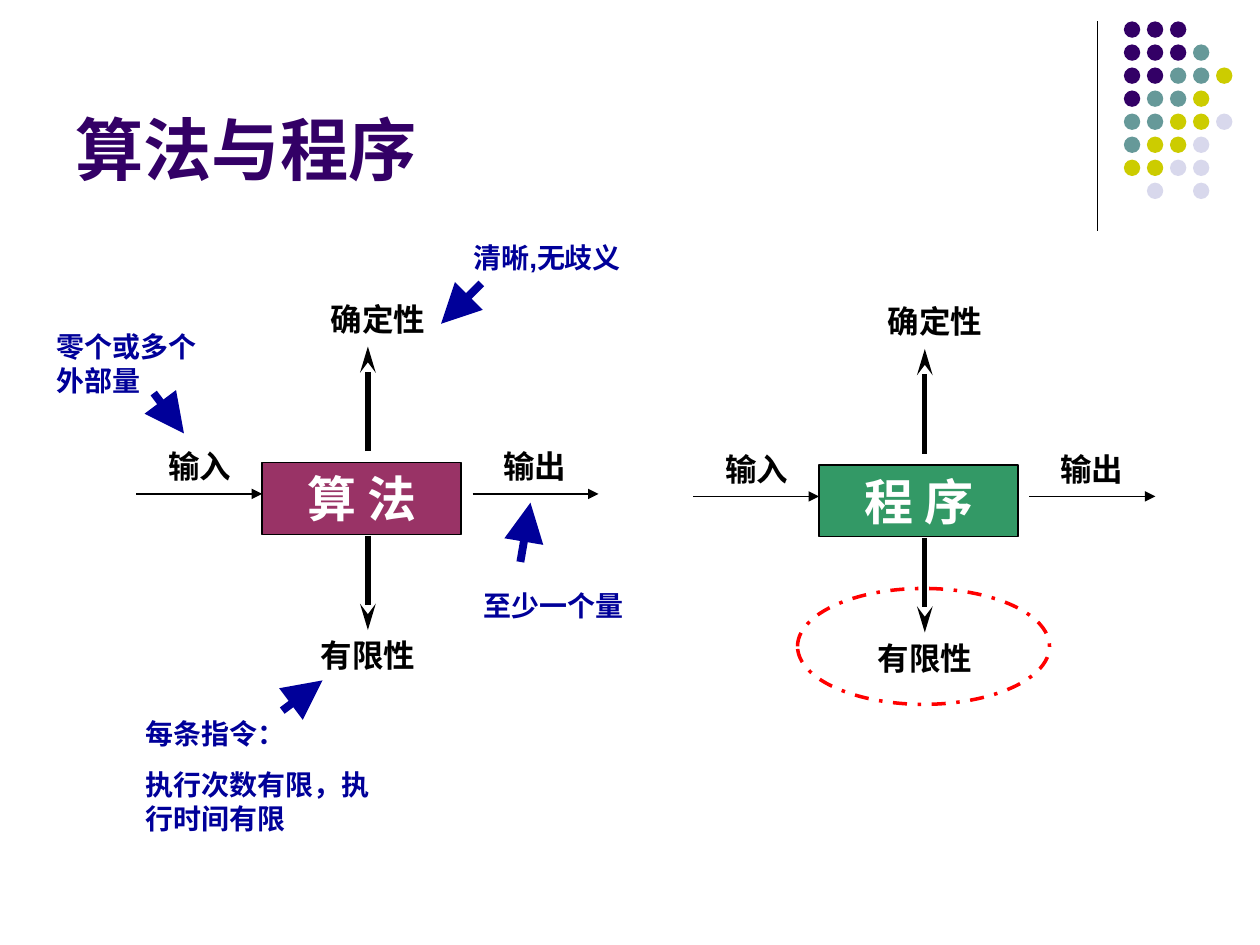
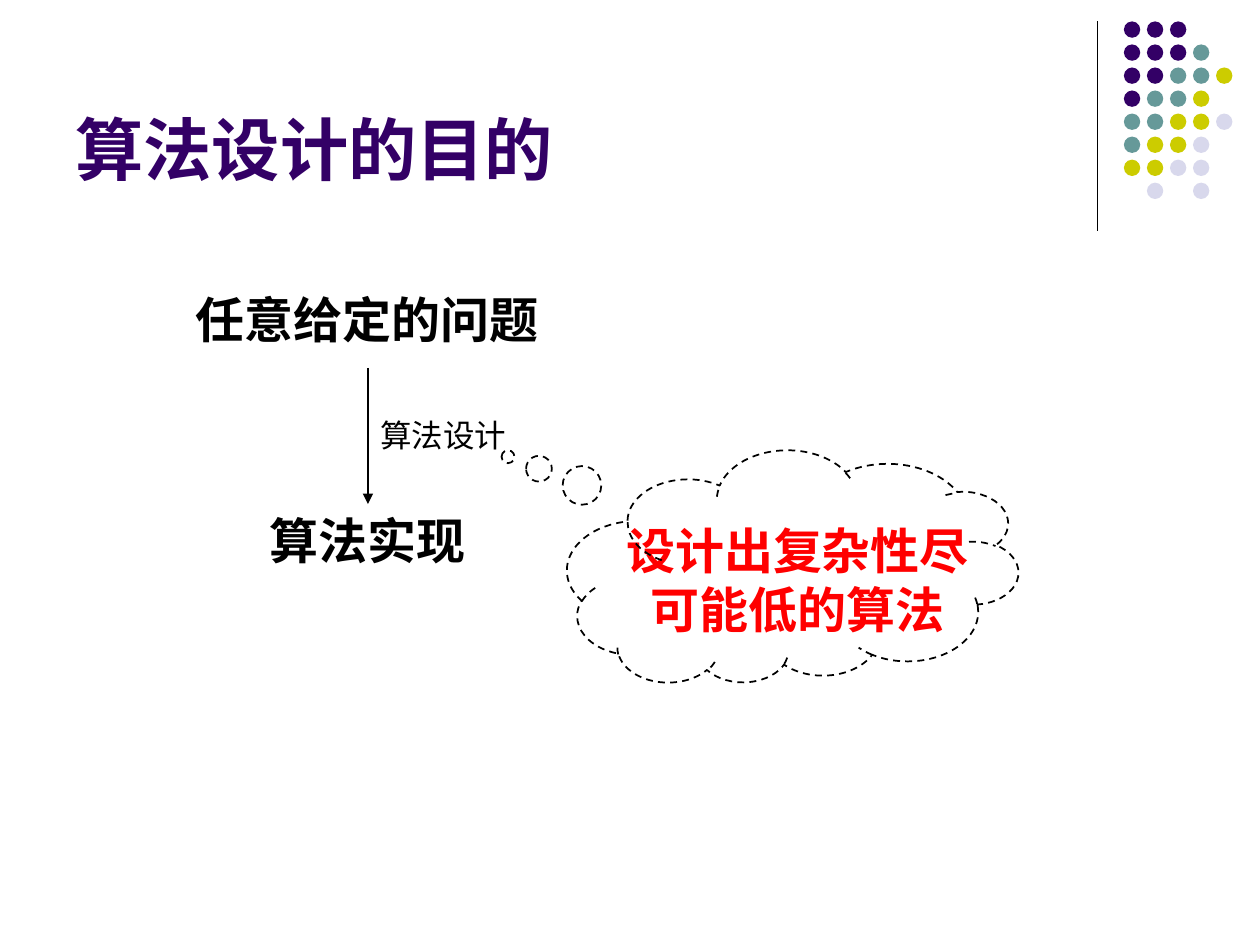
"""Builds two slides on algorithms, programs and the aim of algorithm design."""
from lxml import etree
from pptx import Presentation
from pptx import util as u
from pptx.dml.color import RGBColor
from pptx.enum import dml, lang, shapes, text
from pptx.oxml.ns import qn

FONT = "Arial"
BLACK, WHITE, RED, NAVY, PURPLE = "000000", "FFFFFF", "FF0000", "000099", "330066"
DOT_COLOURS = {"P": PURPLE, "T": "669999", "Y": "CCCC00", "L": "D8D8EC"}
DOT_ROWS = ["PPP", "PPPT", "PPTTY", "PTTY", "TTYYL", "TYYL", "YYLL", " L L"]
DOT_LEFT, DOT_TOP, DOT_SIZE, DOT_PITCH = 8.92, 0.17, 0.13, 1.28 / 7

TITLES = ["算法与程序", "算法设计的目的"]

DIAGRAMS = [("算 法", "993366", 0, 0), ("程 序", "339966", 4.42, 0.02)]
DIAGRAM_BOX = (2.08, 3.67, 1.58, 0.57)
DIAGRAM_ARMS = [
    ("输入", (1.17, 3.5, 0.83, 0.4), (1.08, 3.92), (2.08, 3.92), 0.75, "triangle"),
    ("输出", (3.83, 3.5, 0.83, 0.4), (3.75, 3.92), (4.75, 3.92), 0.75, "triangle"),
    ("确定性", (2.25, 2.33, 1.5, 0.4), (2.92, 3.58), (2.92, 2.75), 3, "stealth"),
    ("有限性", (2.17, 5, 1.5, 0.4), (2.92, 4.25), (2.92, 5), 3, "stealth"),
]
FINITE_RING = (6.33, 4.67, 2, 0.92)
NOTES = [
    (["零个或多个外部量"], (0.35, 2.57, 1.5, 0.64), (1.22, 3.12), (1.46, 3.44)),
    (["清晰,无歧义"], (3.66, 1.86, 1.5, 0.37), (3.82, 2.25), (3.5, 2.57)),
    (["每条指令：", "执行次数有限，执行时间有限"], (1.06, 5.64, 2.05, 1.04), (2.24, 5.64), (2.56, 5.4)),
    (["至少一个量"], (3.74, 4.62, 1.5, 0.37), (4.13, 4.46), (4.21, 3.99)),
]

STEPS = [("任意给定的问题", (1.33, 2.25, 3.17, 0.57)), ("算法实现", (1.33, 4, 3.17, 0.57))]
STEP_ARROW = ((2.92, 2.92), (2.92, 4))
STEP_LABEL = ("算法设计", (2.92, 3.25, 1.42, 0.4))
GOAL = ("设计出复杂性尽可能低的算法", (4.83, 4.08, 3, 1.04))
GOAL_CLOUD = (4.5, 3.58, 3.58, 1.84)


def rgb(colour):
    return RGBColor.from_string(colour)


def inches(values):
    return [u.Inches(v) for v in values]


def moved(place, dx, dy):
    return (place[0] + dx, place[1] + dy, *place[2:])


def write(sp, lines, size, colour, bold=True, centred=True, anchor="TOP"):
    tf = sp.text_frame
    tf.word_wrap = True
    tf.vertical_anchor = text.MSO_ANCHOR[anchor]
    for i, line in enumerate(lines):
        p = tf.paragraphs[0] if i == 0 else tf.add_paragraph()
        p.alignment = text.PP_ALIGN.CENTER if centred else text.PP_ALIGN.LEFT
        if i:
            p.space_before = u.Pt(10)
        r = p.add_run()
        r.text = line
        r.font.name, r.font.size, r.font.bold = FONT, u.Pt(size), bold
        r.font.color.rgb = rgb(colour)
        r.font.language_id = lang.MSO_LANGUAGE_ID.SIMPLIFIED_CHINESE


def add_text(s, place, lines, size, colour, **style):
    write(s.shapes.add_textbox(*inches(place)), lines, size, colour, **style)


def add_shape(s, kind, place, fill=None, line=None, width=0.75, dash=None):
    sp = s.shapes.add_shape(shapes.MSO_SHAPE[kind], *inches(place))
    sp.shadow.inherit = False
    if fill:
        sp.fill.solid()
        sp.fill.fore_color.rgb = rgb(fill)
    else:
        sp.fill.background()
    if line:
        sp.line.color.rgb = rgb(line)
        sp.line.width = u.Pt(width)
        if dash:
            sp.line.dash_style = dml.MSO_LINE[dash]
    else:
        sp.line.fill.background()
    return sp


def add_line(s, start, end, colour=BLACK, width=0.75, head=None, head_size=("med", "med")):
    cx = s.shapes.add_connector(shapes.MSO_CONNECTOR.STRAIGHT, *inches(start + end))
    cx.line.color.rgb = rgb(colour)
    cx.line.width = u.Pt(width)
    pr = cx.element.spPr
    if head:
        tail = etree.SubElement(pr.find(qn("a:ln")), qn("a:tailEnd"))
        for key, value in zip(("type", "w", "len"), (head, *head_size)):
            tail.set(key, value)
    etree.SubElement(pr, qn("a:effectLst"))


def add_slide(prs, title):
    s = prs.slides.add_slide(prs.slide_layouts[6])
    add_line(s, (8.71, 0.17), (8.71, 1.83))
    for row, codes in enumerate(DOT_ROWS):
        for col, code in enumerate(codes):
            if code in DOT_COLOURS:
                place = (DOT_LEFT + col * DOT_PITCH, DOT_TOP + row * DOT_PITCH, DOT_SIZE, DOT_SIZE)
                add_shape(s, "OVAL", place, DOT_COLOURS[code])
    add_text(s, (0.5, 0.13, 8.25, 1.42), [title], 39, PURPLE, centred=False, anchor="BOTTOM")
    return s


def add_diagram(s, name, fill, dx, dy):
    box = add_shape(s, "RECTANGLE", moved(DIAGRAM_BOX, dx, dy), fill, BLACK)
    write(box, [name], 28, WHITE)
    for label, place, start, end, width, head in DIAGRAM_ARMS:
        size = ("med", "lg") if head == "stealth" else ("med", "med")
        add_line(s, moved(start, dx, dy), moved(end, dx, dy), BLACK, width, head, size)
        add_text(s, moved(place, dx, dy), [label], 18, BLACK)


def build_comparison(prs):
    s = add_slide(prs, TITLES[0])
    for diagram in DIAGRAMS:
        add_diagram(s, *diagram)
    add_shape(s, "OVAL", FINITE_RING, line=RED, width=2, dash="DASH_DOT")
    for lines, place, start, end in NOTES:
        add_text(s, place, lines, 16, NAVY, centred=False)
        add_line(s, start, end, NAVY, 4.5, "triangle", ("lg", "lg"))


def build_purpose(prs):
    s = add_slide(prs, TITLES[1])
    for label, place in STEPS:
        add_text(s, place, [label], 28, BLACK)
    add_line(s, *STEP_ARROW, head="triangle")
    label, place = STEP_LABEL
    add_text(s, place, [label], 18, BLACK, bold=False, centred=False)
    goal, place = GOAL
    write(add_shape(s, "RECTANGLE", place, WHITE), [goal], 28, RED)
    cloud = add_shape(s, "CLOUD_CALLOUT", GOAL_CLOUD, line=BLACK, width=1, dash="DASH")
    cloud.rotation = 179.8
    cloud.adjustments[0], cloud.adjustments[1] = 0.63, 0.48


def main():
    prs = Presentation()
    prs.slide_width, prs.slide_height = inches((10, 7.5))
    build_comparison(prs)
    build_purpose(prs)
    prs.save("out.pptx")


if __name__ == "__main__":
    main()
